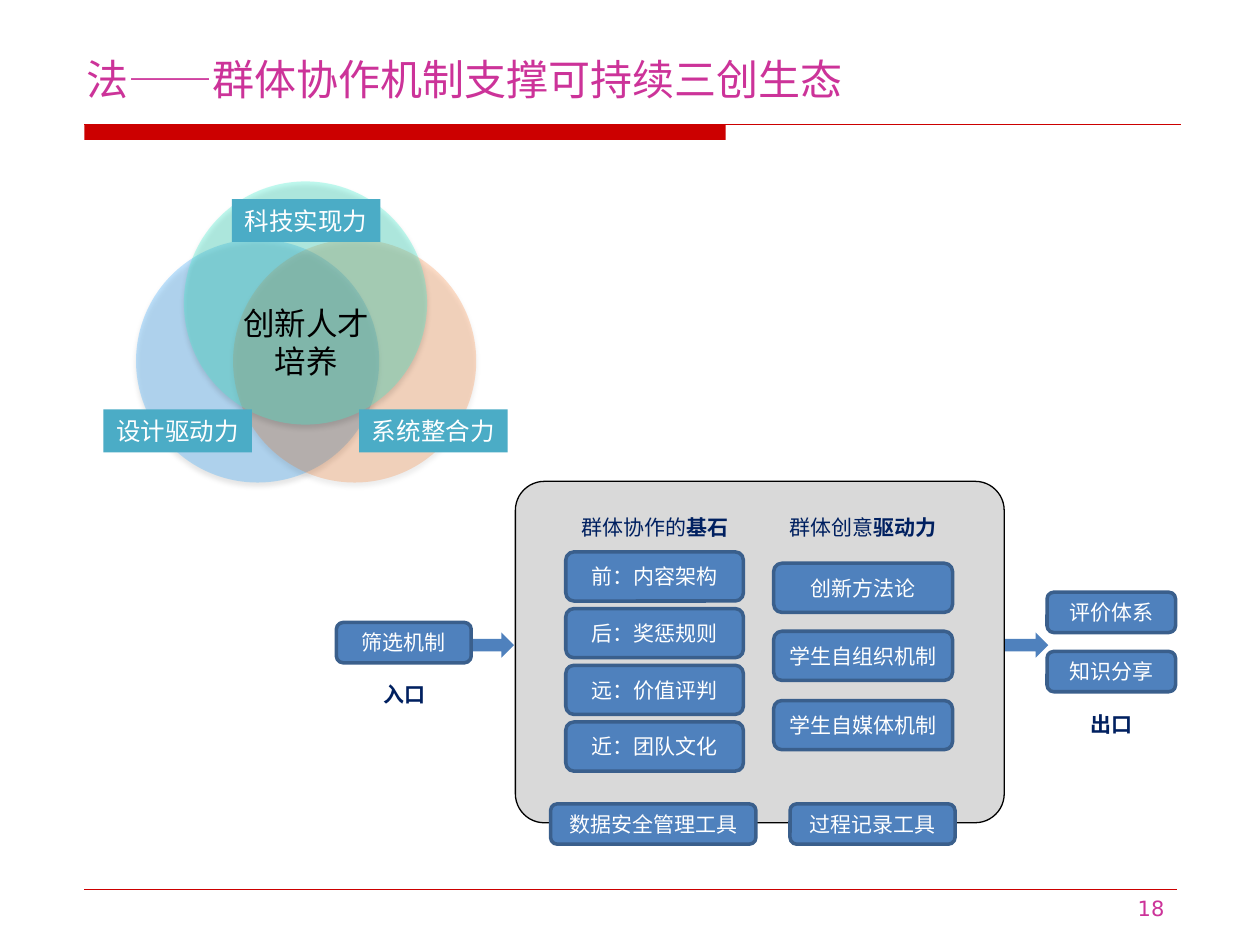
from lxml.etree import SubElement
from pptx import Presentation
from pptx.dml.color import RGBColor
from pptx.enum.shapes import MSO_CONNECTOR, MSO_SHAPE
from pptx.enum.text import MSO_ANCHOR, PP_ALIGN
from pptx.oxml.ns import qn
from pptx.util import Pt

PX = 9144  # 100 px to the inch
CJK = "Noto Sans CJK SC"
RED = RGBColor(0xCC, 0x00, 0x00)
MAGENTA = RGBColor(0xCC, 0x33, 0x99)
BLUE = RGBColor(0x4F, 0x81, 0xBD)
BLUE_EDGE = RGBColor(0x3A, 0x5F, 0x8C)
NAVY = RGBColor(0x00, 0x20, 0x60)
TEAL = RGBColor(0x4B, 0xAC, 0xC6)
GRAY = RGBColor(0xD9, 0xD9, 0xD9)
BLACK = RGBColor(0x00, 0x00, 0x00)
WHITE = RGBColor(0xFF, 0xFF, 0xFF)
SKY = RGBColor(0x34, 0xA8, 0xFF)
ORANGE = RGBColor(0xFF, 0x66, 0x00)
MINT = RGBColor(0x41, 0xF0, 0xD1)

prs = Presentation()
prs.slide_width, prs.slide_height = 1000 * PX, 750 * PX
s = prs.slides.add_slide(prs.slide_layouts[6])


def add_shape(kind, x, y, w, h, fill, line=None, line_pt=2):
    sp = s.shapes.add_shape(kind, x * PX, y * PX, w * PX, h * PX)
    sp.shadow.inherit = False
    sp.fill.solid()
    sp.fill.fore_color.rgb = fill
    if line is None:
        sp.line.fill.background()
    else:
        sp.line.color.rgb = line
        sp.line.width = Pt(line_pt)
    return sp


def add_text(sp, runs, size, color, align=PP_ALIGN.CENTER,
             anchor=MSO_ANCHOR.MIDDLE, wrap=False, font=CJK):
    tf = sp.text_frame
    tf.word_wrap = wrap
    tf.vertical_anchor = anchor
    p = tf.paragraphs[0]
    p.alignment = align
    for text, bold in runs:
        r = p.add_run()
        r.text = text
        r.font.size = Pt(size)
        r.font.bold = bold
        r.font.color.rgb = color
        r.font.name = font
        SubElement(r.font._element, qn("a:ea"), typeface=font)


# Title bar and footer rule
add_shape(MSO_SHAPE.RECTANGLE, 67, 99, 509, 12, RED)
for x2, y, width in [(937, 99, 0.75), (934, 706, 0.25)]:
    line = s.shapes.add_connector(MSO_CONNECTOR.STRAIGHT, 67 * PX, y * PX, x2 * PX, y * PX)
    line.line.color.rgb = RED
    line.line.width = Pt(width)
    SubElement(line._element.spPr, qn("a:effectLst"))

# Title
tb = s.shapes.add_textbox(59 * PX, 28 * PX, 693 * PX, 59 * PX)
add_text(tb, [("法——群体协作机制支撑可持续三创生态", False)], 24, MAGENTA,
         PP_ALIGN.LEFT, MSO_ANCHOR.BOTTOM, True)

# Arrows in and out, behind the central panel
for x in (344, 768):
    add_shape(MSO_SHAPE.RIGHT_ARROW, x, 502, 64, 20, BLUE)
panel = add_shape(MSO_SHAPE.ROUNDED_RECTANGLE, 409, 382, 388, 271, GRAY, BLACK, 0.75)
panel.adjustments[0] = 0.085

# Mechanism boxes: tools, entrance, exit, then the two columns
boxes = [
    ("数据安全管理工具", 437, 638, 163, 32),
    ("过程记录工具", 627, 638, 131, 32),
    ("筛选机制", 267, 494, 107, 32),
    ("评价体系", 831, 470, 102, 32),
    ("知识分享", 831, 517, 102, 32),
]
foundations = ["前：内容架构", "后：奖惩规则", "远：价值评判", "近：团队文化"]
drivers = ["创新方法论", "学生自组织机制", "学生自媒体机制"]
boxes += [(t, 449, 438 + 45 * i, 141, 39) for i, t in enumerate(foundations)]
boxes += [(t, 614, 447 + 109 * i // 2, 142, 39) for i, t in enumerate(drivers)]
for text, x, y, w, h in boxes:
    sp = add_shape(MSO_SHAPE.ROUNDED_RECTANGLE, x, y, w, h, BLUE, BLUE_EDGE)
    add_text(sp, [(text, False)], 12, WHITE)

# Headings and captions
captions = [
    ([("群体协作的", False), ("基石", True)], 451, 403, 138),
    ([("群体创意", False), ("驱动力", True)], 616, 403, 138),
    ([("入口", True)], 294, 536, 54),
    ([("出口", True)], 855, 560, 54),
]
for runs, x, y, w in captions:
    tb = s.shapes.add_textbox(x * PX, y * PX, w * PX, 30 * PX)
    add_text(tb, runs, 12, NAVY)

# Three translucent circles with a soft shadow
for x, y, color, alpha in [(108, 190, SKY, 30), (185, 190, ORANGE, 21), (146, 144, MINT, 33)]:
    sp = add_shape(MSO_SHAPE.OVAL, x, y, 193, 193, color)
    spPr = sp._element.spPr
    SubElement(spPr.find(qn("a:solidFill"))[0], qn("a:alpha"), val=str(alpha * 1000))
    shadow = SubElement(spPr.find(qn("a:effectLst")), qn("a:outerShdw"),
                        blurRad=str(Pt(3.1)), dist=str(Pt(1.8)), dir="5400000",
                        rotWithShape="0")
    clr = SubElement(shadow, qn("a:srgbClr"), val=str(BLACK))
    SubElement(clr, qn("a:alpha"), val="35000")

# Circle labels and centre text
for text, x, y in [("科技实现力", 184, 158), ("系统整合力", 285, 325), ("设计驱动力", 82, 325)]:
    sp = add_shape(MSO_SHAPE.RECTANGLE, x, y, 118, 34, TEAL)
    add_text(sp, [(text, False)], 14, WHITE)
tb = s.shapes.add_textbox(175 * PX, 236 * PX, 136 * PX, 71 * PX)
add_text(tb, [("创新人才培养", False)], 18, BLACK, wrap=True)

# Slide number
tb = s.shapes.add_textbox(717 * PX, 706 * PX, 217 * PX, 29 * PX)
add_text(tb, [("18", False)], 12, MAGENTA, PP_ALIGN.RIGHT, MSO_ANCHOR.TOP, True, "DejaVu Sans")

prs.save("out.pptx")
